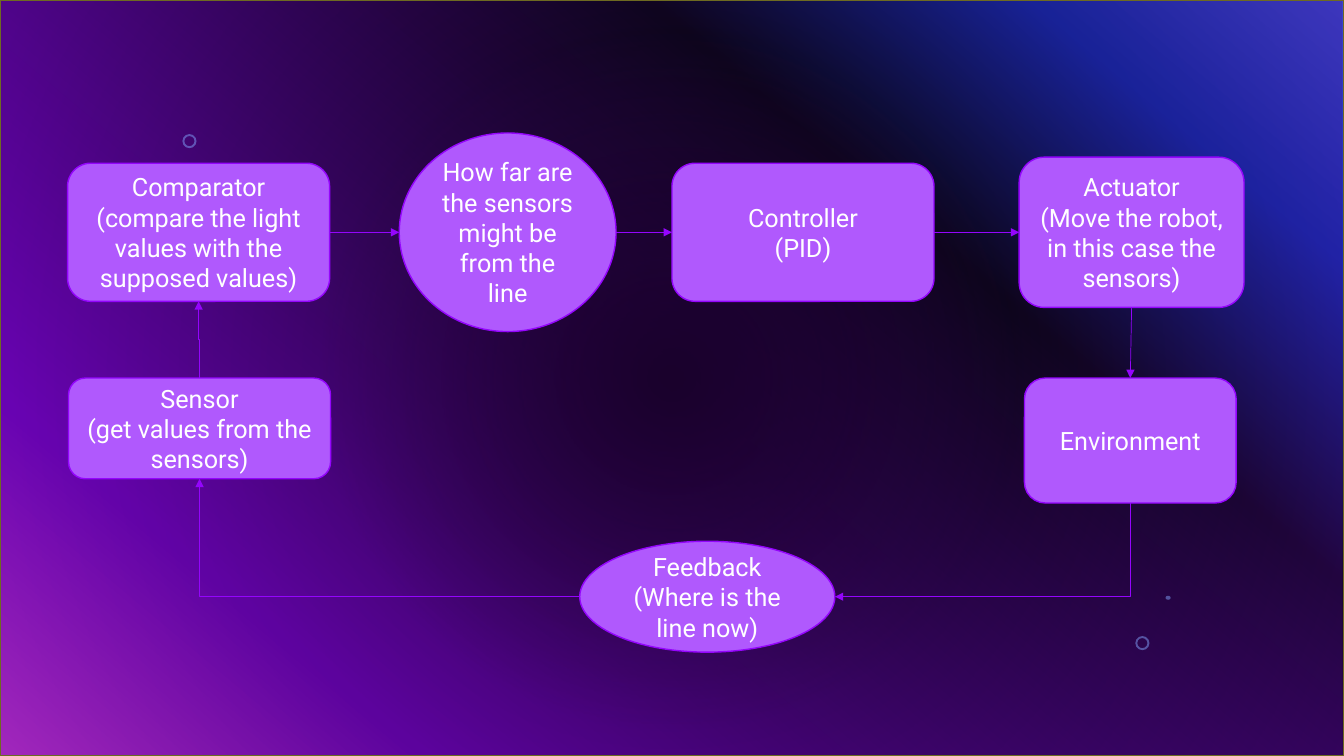
from dataclasses import dataclass

from pptx import Presentation
from pptx import util as u
from pptx.dml.color import RGBColor
from pptx.enum import shapes, text
from pptx.oxml import parse_xml
from pptx.oxml.ns import nsdecls, qn
from pptx.oxml.xmlchemy import OxmlElement

TOP, LEFT, BOTTOM, RIGHT = range(4)
ROUNDED = shapes.MSO_SHAPE.ROUNDED_RECTANGLE
OVAL = shapes.MSO_SHAPE.OVAL
DONUT = shapes.MSO_SHAPE.DONUT


@dataclass(frozen=True)
class Theme:
    """Colours, type and line weights of the slide."""
    font: str = "Roboto"
    size: int = 18
    ink: str = "FFFFFF"
    node: str = "B059FD"
    edge: str = "9405FC"
    frame: str = "6E6A21"
    mark: str = "83A7FD"
    mark_alpha: int = 49
    outline: float = 1
    arrow: float = 0.5
    backdrop: tuple = ((0, "316CFC", 100), (14, "0343DF", 100), (31, "02090E", 100),
                       (81, "9405FC", 100), (100, "FC4EFB", 100))
    veil: tuple = ((0, "1A012C", 100), (45, "1A012C", 50), (100, "4A027F", 50))


THEME = Theme()

NODES = {
    "comparator": (ROUNDED, 14.78, 30.73, 19.5, 18.27,
                   "Comparator\n(compare the light values with the supposed values)"),
    "error": (OVAL, 37.77, 30.73, 16.13, 26.27,
              "How far are the sensors might be from the line"),
    "controller": (ROUNDED, 59.75, 30.73, 19.5, 18.27, "Controller\n(PID)"),
    "actuator": (ROUNDED, 84.2, 30.73, 16.73, 19.87,
                 "Actuator\n(Move the robot, in this case the sensors)"),
    "sensor": (ROUNDED, 14.85, 56.67, 19.5, 13.33, "Sensor\n(get values from the sensors)"),
    "environment": (ROUNDED, 84.1, 58.27, 15.75, 16.53, "Environment"),
    "feedback": (OVAL, 52.63, 78.93, 18.98, 14.67, "Feedback\n(Where is the line now)"),
}

ARROWS = (
    ("comparator", RIGHT, "error", LEFT),
    ("error", RIGHT, "controller", LEFT),
    ("controller", RIGHT, "actuator", LEFT),
    ("actuator", BOTTOM, "environment", TOP),
)

ELBOWS = (
    ("environment", BOTTOM, "feedback", RIGHT, "bentConnector2", 90, False),
    ("feedback", LEFT, "sensor", BOTTOM, "bentConnector2", 180, False),
    ("sensor", TOP, "comparator", BOTTOM, "bentConnector3", 270, True),
)

MARKS = (
    (DONUT, 14.1, 18.67, 1.05, 1.87),
    (DONUT, 85, 85.07, 1.05, 1.87),
    (OVAL, 86.91, 79.07, 0.38, 0.53),
)


def place(box, centre_x, centre_y, width, height):
    """Turn percentages of a box into left, top, width and height."""
    left, top, full_width, full_height = box
    return (int(left + (centre_x - width / 2) * full_width / 100),
            int(top + (centre_y - height / 2) * full_height / 100),
            int(width * full_width / 100), int(height * full_height / 100))


def set_gradient(holder, stops, direction):
    """Replace the gradient inside an element with the given stops."""
    grad = next(holder.iter(qn("a:gradFill")))
    listing = "".join(
        f'<a:gs pos="{pos * 1000}"><a:srgbClr val="{colour}">'
        f'<a:alpha val="{alpha * 1000}"/></a:srgbClr></a:gs>'
        for pos, colour, alpha in stops)
    grad.getparent().replace(grad, parse_xml(
        f'<a:gradFill {nsdecls("a")} rotWithShape="1">'
        f'<a:gsLst>{listing}</a:gsLst>{direction}</a:gradFill>'))


def add_plain(page, kind, frame, fill):
    """Add a shape without shadow or line, with a solid fill."""
    shape = page.shapes.add_shape(kind, *frame)
    shape.shadow.inherit = False
    shape.fill.solid()
    shape.fill.fore_color.rgb = RGBColor.from_string(fill)
    shape.line.fill.background()
    return shape


def set_line(item, colour, weight):
    """Colour and weigh the line of a shape or connector."""
    item.line.color.rgb = RGBColor.from_string(colour)
    item.line.width = u.Pt(weight)


def draw_backdrop(page, box):
    """Fill the background, lay the veil over it and scatter the marks."""
    page.background.fill.gradient()
    set_gradient(page.background._cSld, THEME.backdrop,
                 f'<a:lin ang="{130 * 60000}" scaled="0"/>')
    veil = add_plain(page, shapes.MSO_SHAPE.RECTANGLE, box, THEME.node)
    veil.fill.gradient()
    set_gradient(veil._element.spPr, THEME.veil,
                 '<a:path path="circle"><a:fillToRect l="50000" t="50000" '
                 'r="50000" b="50000"/></a:path>')
    set_line(veil, THEME.frame, THEME.outline)
    for kind, *frame in MARKS:
        mark = add_plain(page, kind, place(box, *frame), THEME.mark)
        if kind == DONUT:
            mark.adjustments[0] = 0.14
        alpha = OxmlElement("a:alpha")
        alpha.set("val", str(THEME.mark_alpha * 1000))
        next(mark._element.spPr.iter(qn("a:srgbClr"))).append(alpha)


def add_node(page, box, kind, centre_x, centre_y, width, height, words):
    """Add one labelled step of the control loop."""
    node = add_plain(page, kind, place(box, centre_x, centre_y, width, height), THEME.node)
    set_line(node, THEME.edge, THEME.outline)
    frame = node.text_frame
    frame.word_wrap = True
    frame.vertical_anchor = text.MSO_ANCHOR.MIDDLE
    frame.text = words
    for para in frame.paragraphs:
        para.alignment = text.PP_ALIGN.CENTER
        for span in para.runs:
            span.font.name = THEME.font
            span.font.size = u.Pt(THEME.size)
            span.font.color.rgb = RGBColor.from_string(THEME.ink)
    return node


def side_point(node, side):
    """Return the middle of one side of a node."""
    across, down = {TOP: (1, 0), LEFT: (0, 1), BOTTOM: (1, 2), RIGHT: (2, 1)}[side]
    return node.left + node.width * across // 2, node.top + node.height * down // 2


def style_arrow(arrow):
    """Give a connector its line, its head and no shadow."""
    set_line(arrow, THEME.edge, THEME.arrow)
    head = OxmlElement("a:tailEnd")
    head.set("type", "triangle")
    arrow.line._get_or_add_ln().append(head)
    arrow._element.spPr.append(OxmlElement("a:effectLst"))


def add_arrow(page, source, source_side, target, target_side):
    """Draw a straight arrow, joined wherever it meets a rectangle."""
    arrow = page.shapes.add_connector(
        shapes.MSO_CONNECTOR.STRAIGHT,
        *side_point(source, source_side), *side_point(target, target_side))
    if source.auto_shape_type == ROUNDED:
        arrow.begin_connect(source, source_side)
    if target.auto_shape_type == ROUNDED:
        arrow.end_connect(target, target_side)
    style_arrow(arrow)


def add_elbow(page, source, source_side, target, target_side, preset, turn, flip):
    """Draw a bent arrow whose frame is turned about its centre."""
    start_x, start_y = side_point(source, source_side)
    end_x, end_y = side_point(target, target_side)
    width, height = abs(end_x - start_x), abs(end_y - start_y)
    if turn % 180:
        width, height = height, width
    left = (start_x + end_x - width) // 2
    top = (start_y + end_y - height) // 2
    arrow = page.shapes.add_connector(
        shapes.MSO_CONNECTOR.ELBOW, left, top, left + width, top + height)
    properties = arrow._element.spPr
    properties.find(qn("a:prstGeom")).set("prst", preset)
    properties.find(qn("a:xfrm")).set("rot", str(turn * 60000))
    if flip:
        properties.find(qn("a:xfrm")).set("flipV", "1")
    style_arrow(arrow)


def draw_loop(page, box):
    """Draw the steps of the control loop and the arrows between them."""
    nodes = {name: add_node(page, box, *parts) for name, parts in NODES.items()}
    for source, source_side, target, target_side in ARROWS:
        add_arrow(page, nodes[source], source_side, nodes[target], target_side)
    for source, source_side, target, target_side, *bend in ELBOWS:
        add_elbow(page, nodes[source], source_side, nodes[target], target_side, *bend)


def main():
    """Build the slide and save the deck."""
    deck = Presentation()
    deck.slide_width, deck.slide_height = u.Inches(13.33), u.Inches(7.5)
    page = deck.slides.add_slide(deck.slide_layouts[6])
    box = (0, 0, deck.slide_width, deck.slide_height)
    draw_backdrop(page, box)
    draw_loop(page, box)
    deck.save("out.pptx")


if __name__ == "__main__":
    main()
